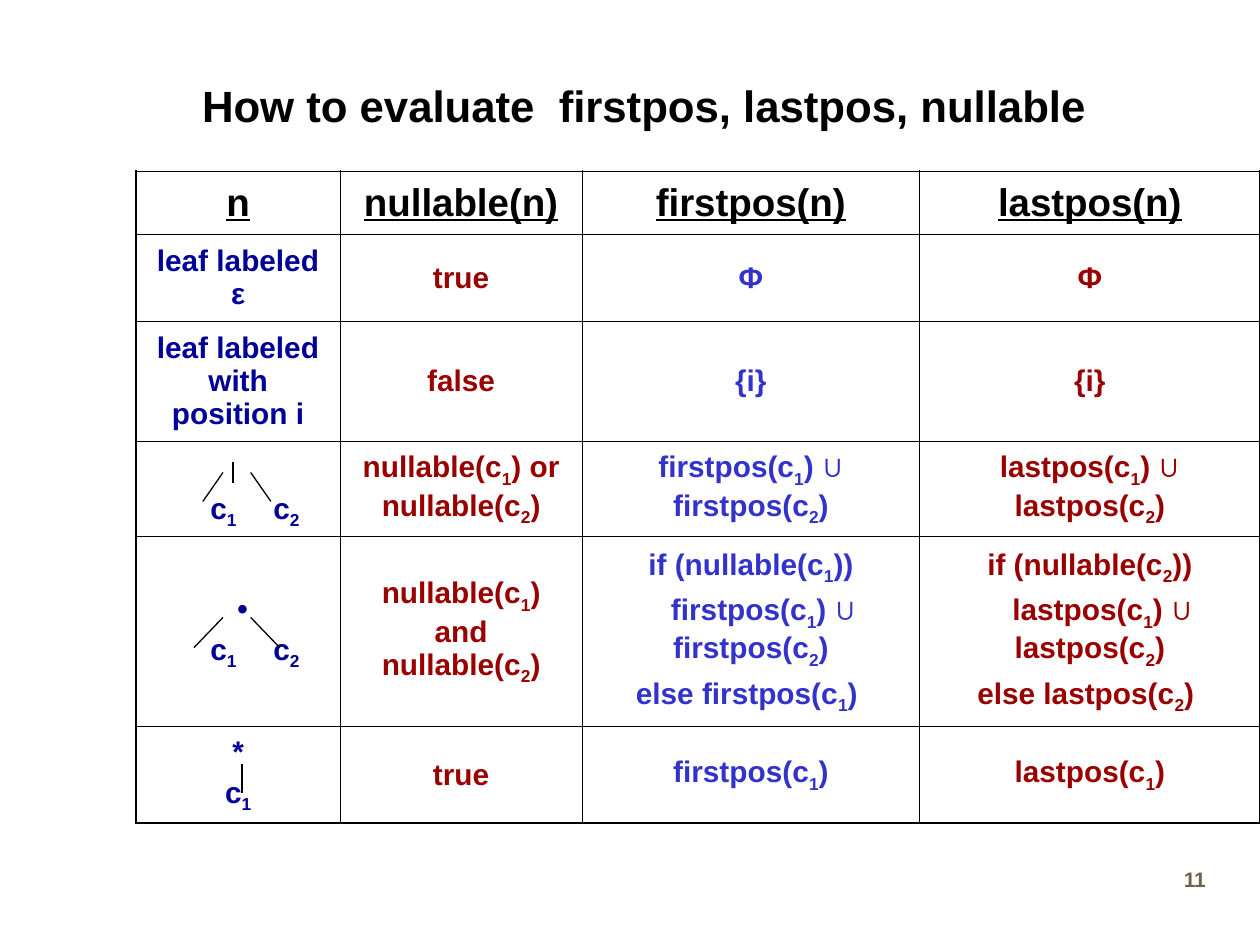
from dataclasses import dataclass
from typing import Optional

import pptx
import pptx.dml.color
import pptx.enum.shapes
import pptx.enum.text
import pptx.oxml
import pptx.oxml.ns
import pptx.util

ALIGN = pptx.enum.text.PP_ALIGN
ANCHOR = pptx.enum.text.MSO_ANCHOR
COLORS = {"ink": "000000", "node": "000099", "red": "990000",
          "blue": "3333CC", "number": "6F634A"}
THIN, THICK = 0.45, 1.08  # table rules, in points
COL_WIDTHS = [1.62, 1.92, 2.68, 2.7]
ROW_HEIGHTS = [0.5, 0.69, 0.94, 0.76, 1.5, 0.76]
COL_COLORS = ["node", "red", "blue", "red"]


@dataclass
class Para:
    """Text where _ lowers the next character; lengths are in grid units."""
    text: str
    indent: float = 0
    tabs: tuple = ()


@dataclass
class Fork:
    """Two branches spreading from a tree node to its children."""
    top: float
    bottom: float
    spread: float


@dataclass
class Stem:
    x: float
    top: float
    bottom: float


HEADER = ["n", "nullable(n)", "firstpos(n)", "lastpos(n)"]
BODY = [
    ["leaf labeled ε", "true", "Φ", "Φ"],
    ["leaf labeled with position i", "false", "{i}", "{i}"],
    [Para("\tc_1\tc_2", tabs=(0.4, 0.95)), "nullable(c_1) or nullable(c_2)",
     "firstpos(c_1) ∪ firstpos(c_2)", "lastpos(c_1) ∪ lastpos(c_2)"],
    [[Para("•", indent=0.07), Para("\tc_1\tc_2", tabs=(0.35, 1))],
     "nullable(c_1) and nullable(c_2)",
     ["if (nullable(c_1))", Para("firstpos(c_1) ∪ firstpos(c_2)", indent=0.2),
      "else firstpos(c_1) "],
     ["if (nullable(c_2))", Para("lastpos(c_1) ∪ lastpos(c_2)", indent=0.2),
      "else lastpos(c_2) "]],
    [["*", "c_1"], "true", "firstpos(c_1)", "lastpos(c_1)"],
]
FORK_CENTER, FORK_GAP = 1.88, 0.11
FORKS = [Fork(3.75, 3.98, 0.27), Fork(4.9, 5.14, 0.34)]
STEMS = [Stem(1.92, 6.06, 6.29), Stem(1.85, 3.67, 3.83)]

prs = pptx.Presentation()
prs.slide_width = pptx.util.Inches(10)
prs.slide_height = pptx.util.Inches(7.5)
UNIT = prs.slide_width // 10  # the slide is a grid of 10 columns by 7.5 rows


def grid(n: float) -> int:
    return round(n * UNIT)


def rgb(name: str) -> pptx.dml.color.RGBColor:
    return pptx.dml.color.RGBColor.from_string(COLORS[name])


def write(tf, content, *, size: float, color: str, align=ALIGN.CENTER,
          underline: bool = False, space: float = 0) -> None:
    """Fill a text frame with one or more paragraphs."""
    items = content if isinstance(content, list) else [content]
    for i, item in enumerate(items):
        para = item if isinstance(item, Para) else Para(item)
        p = tf.paragraphs[0] if i == 0 else tf.add_paragraph()
        p.alignment = ALIGN.LEFT if para.tabs else align
        p.space_before = pptx.util.Pt(space if i else 0)
        pPr = p._p.get_or_add_pPr()
        pPr.set("marL", "0")
        pPr.set("indent", str(grid(para.indent)))
        if para.tabs:
            stops = pptx.oxml.ns.qn("a:tabLst")
            tab_list = pPr.makeelement(stops, {})
            pPr.append(tab_list)
            for pos in para.tabs:
                tab_list.append(pPr.makeelement(
                    pptx.oxml.ns.qn("a:tab"), {"pos": str(grid(pos)), "algn": "l"}))
        first, *rest = para.text.split("_")
        pieces = [(first, False)]
        for part in rest:
            pieces += [(part[0], True), (part[1:], False)]
        for text, lowered in pieces:
            if not text:
                continue
            r = p.add_run()
            r.text = text
            r.font.name = "Arial"
            r.font.size = pptx.util.Pt(size)
            r.font.bold = True
            r.font.underline = underline
            r.font.color.rgb = rgb(color)
            if lowered:
                r._r.get_or_add_rPr().set("baseline", "-25000")


def add_text(s, x: float, y: float, w: float, h: float, text: str,
             *, anchor=ANCHOR.TOP, **style) -> None:
    sp = s.shapes.add_textbox(grid(x), grid(y), grid(w), grid(h))
    tf = sp.text_frame
    tf.word_wrap = True
    tf.vertical_anchor = anchor
    write(tf, text, **style)


def set_borders(cell, widths: dict) -> None:
    tcPr = cell._tc.get_or_add_tcPr()
    for side, width in widths.items():
        tcPr.append(pptx.oxml.parse_xml(
            f'<a:ln{side} xmlns:a="http://schemas.openxmlformats.org/drawingml/2006/main"'
            f' w="{pptx.util.Pt(width)}"><a:solidFill><a:srgbClr val="{COLORS["ink"]}"/>'
            f'</a:solidFill></a:ln{side}>'))


def add_line(shapes, x1: float, y1: float, x2: float, y2: float) -> None:
    line = shapes.add_connector(pptx.enum.shapes.MSO_CONNECTOR.STRAIGHT,
                                grid(x1), grid(y1), grid(x2), grid(y2))
    line.line.color.rgb = rgb("ink")
    line.line.width = pptx.util.Pt(0.75)
    spPr = line._element.spPr
    spPr.append(spPr.makeelement(pptx.oxml.ns.qn("a:effectLst"), {}))


def add_rules_table(s, x: float, y: float) -> None:
    rows, cols = len(ROW_HEIGHTS), len(COL_WIDTHS)
    table = s.shapes.add_table(rows, cols, grid(x), grid(y), grid(sum(COL_WIDTHS)),
                               grid(sum(ROW_HEIGHTS))).table
    table.first_row = table.horz_banding = False
    for column, width in zip(table.columns, COL_WIDTHS):
        column.width = grid(width)
    for row, height in zip(table.rows, ROW_HEIGHTS):
        row.height = grid(height)
    for i, texts in enumerate([HEADER] + BODY):
        for j, content in enumerate(texts):
            cell = table.cell(i, j)
            cell.margin_left = cell.margin_right = grid(0.09)
            cell.margin_top = cell.margin_bottom = grid(0.05)
            # A lone row of children sits below its branches
            lone = isinstance(content, Para)
            cell.vertical_anchor = ANCHOR.BOTTOM if lone else ANCHOR.MIDDLE
            set_borders(cell, {"L": THIN if j else THICK,
                               "R": THICK if j == cols - 1 else THIN,
                               "T": THIN if i else THICK,
                               "B": THICK if i == rows - 1 else THIN})
            cell.fill.background()
            if i == 0:
                write(cell.text_frame, content, size=22, color="ink", underline=True)
            else:
                write(cell.text_frame, content, size=17, color=COL_COLORS[j], space=4.2)


def add_fork(s, fork: Fork) -> None:
    group = s.shapes.add_group_shape()
    for side in (-1, 1):
        add_line(group.shapes, FORK_CENTER + side * FORK_GAP, fork.top,
                 FORK_CENTER + side * fork.spread, fork.bottom)


def main() -> None:
    s = prs.slides.add_slide(prs.slide_layouts[6])
    # Page number and title
    add_text(s, 7.71, 6.83, 1.96, 0.5, "11", size=12, color="number", align=ALIGN.RIGHT)
    add_text(s, 0.61, 0.29, 9, 1.08, "How to evaluate  firstpos, lastpos, nullable",
             size=25, color="ink", anchor=ANCHOR.MIDDLE)
    # Table of rules
    add_rules_table(s, 1.08, 1.36)
    # Syntax tree branches
    for fork in FORKS:
        add_fork(s, fork)
    for stem in STEMS:
        add_line(s.shapes, stem.x, stem.top, stem.x, stem.bottom)
    prs.save("out.pptx")


if __name__ == "__main__":
    main()
